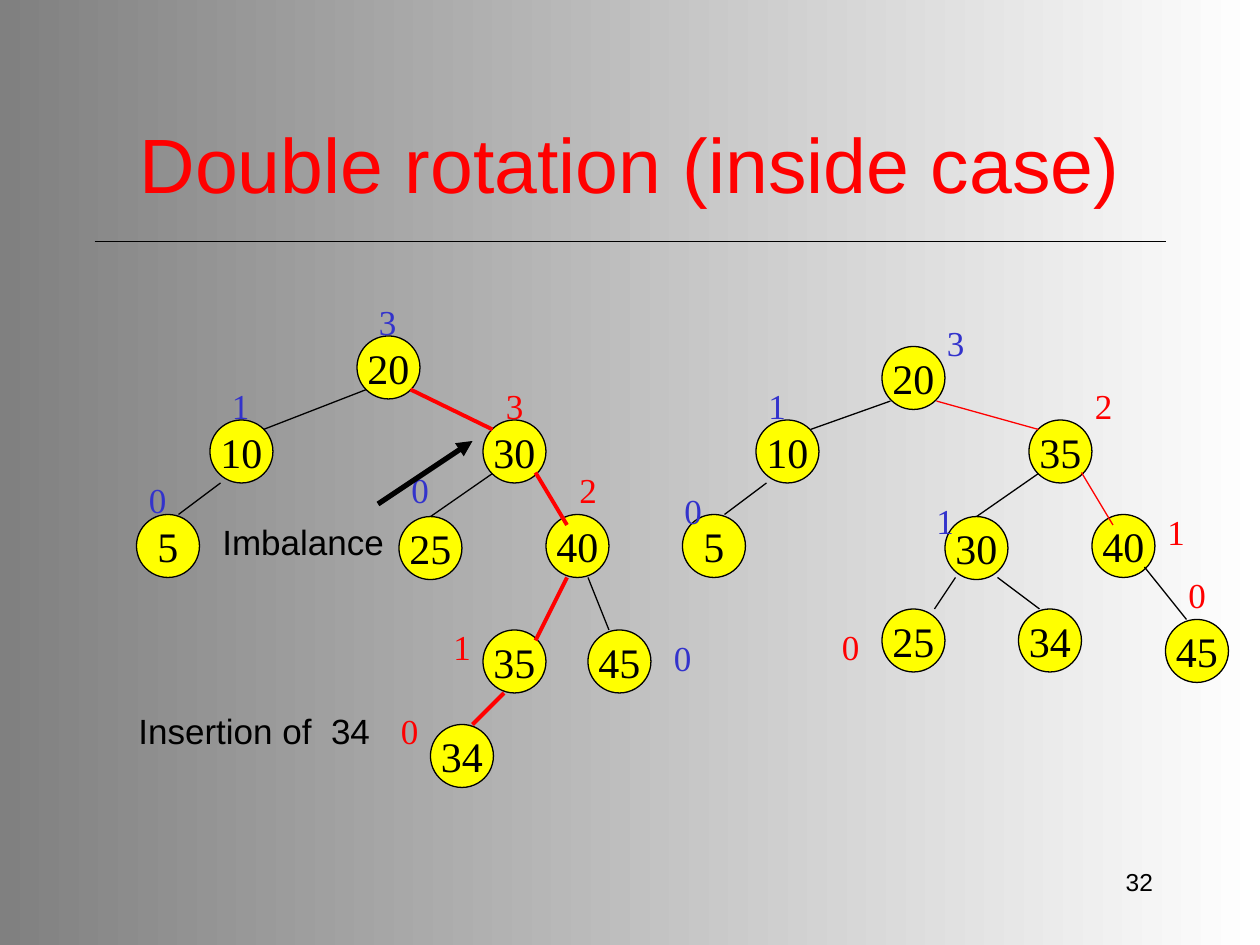
from lxml import etree
from pptx import Presentation
from pptx import util as u
from pptx.dml.color import RGBColor
from pptx.enum import shapes, text
from pptx.oxml.ns import qn

PX = u.Inches(1) // 120
NODE = 60
LABEL = (41, 53)
COLORS = {
    "black": "000000",
    "white": "FFFFFF",
    "gray": "808080",
    "red": "FF0000",
    "blue": "3333CC",
    "yellow": "FFFF00",
}
TITLE = {"name": "Arial", "size": u.Pt(44)}
CAPTION = {"name": "Arial", "size": u.Pt(20)}
NUMBER = {"name": "Arial", "size": u.Pt(14)}
KEY = {"name": "Times New Roman", "size": u.Pt(24)}
HEIGHT = {"name": "Times New Roman", "size": u.Pt(20)}

BEFORE = {
    "nodes": {
        "20": (210, 40), "10": (70, 120), "30": (330, 120),
        "5": (0, 210), "25": (250, 212), "40": (390, 210),
        "35": (330, 320), "45": (430, 320), "34": (280, 410),
    },
    "edges": [
        ((219, 91), (121, 129), "black"),
        ((261, 91), (339, 129), "red"),
        ((339, 171), "25", "black"),
        ((380, 170), (410, 220), "red"),
        ((80, 180), (40, 210), "black"),
        ((430, 270), (450, 320), "black"),
        ((410, 270), (380, 330), "red"),
        ((350, 380), (320, 410), "red"),
    ],
    "heights": [
        ("3", 219, 0, "blue"), ("1", 79, 80, "blue"), ("3", 340, 80, "red"),
        ("0", 0, 170, "blue"), ("0", 250, 160, "blue"), ("2", 410, 160, "red"),
        ("1", 290, 310, "red"), ("0", 500, 320, "blue"), ("0", 240, 390, "red"),
    ],
}
AFTER = {
    "nodes": {
        "20": (200, 50), "10": (80, 120), "35": (340, 120),
        "5": (10, 210), "30": (260, 212), "40": (400, 210),
        "25": (200, 300), "34": (330, 300), "45": (470, 310),
    },
    "edges": [
        ((208, 102), (132, 129), "black"),
        ((252, 102), (349, 129), "red"),
        ((349, 171), "30", "black"),
        ((390, 170), (420, 220), "red"),
        ((90, 180), (50, 210), "black"),
        ((450, 260), (490, 310), "black"),
        ((270, 270), (250, 300), "black"),
        ((310, 270), (350, 300), "black"),
    ],
    "heights": [
        ("3", 250, 20, "blue"), ("1", 80, 80, "blue"), ("2", 391, 80, "red"),
        ("0", 0, 180, "blue"), ("1", 240, 190, "blue"), ("1", 460, 200, "red"),
        ("0", 480, 260, "red"), ("0", 150, 310, "red"),
    ],
}


def emu(*lengths):
    return [length * PX for length in lengths]


def rgb(name):
    return RGBColor.from_string(COLORS[name])


def write(shape, words, style, color, align, wrap=True, anchor=text.MSO_ANCHOR.TOP):
    frame = shape.text_frame
    frame.auto_size = text.MSO_AUTO_SIZE.NONE
    frame.word_wrap = wrap
    frame.vertical_anchor = anchor
    para = frame.paragraphs[0]
    para.alignment = align
    span = para.add_run()
    span.text = words
    for name, value in style.items():
        setattr(span.font, name, value)
    span.font.color.rgb = rgb(color)


def add_text(page, box, words, style, color="black", align=text.PP_ALIGN.LEFT, wrap=True):
    shape = page.shapes.add_textbox(*emu(*box))
    write(shape, words, style, color, align, wrap)


def add_line(page, start, end, color="black", width=0.75):
    line = page.shapes.add_connector(shapes.MSO_CONNECTOR.STRAIGHT, *emu(*start, *end))
    line.line.color.rgb = rgb(color)
    line.line.width = u.Pt(width)
    etree.SubElement(line.element.spPr, qn("a:effectLst"))
    return line


def add_node(page, left, top, key):
    node = page.shapes.add_shape(shapes.MSO_SHAPE.OVAL, *emu(left, top, NODE, NODE))
    node.shadow.inherit = False
    node.fill.solid()
    node.fill.fore_color.rgb = rgb("yellow")
    node.line.color.rgb = rgb("black")
    node.line.width = u.Pt(0.75)
    write(node, key, KEY, "black", text.PP_ALIGN.CENTER, False, text.MSO_ANCHOR.MIDDLE)
    return node


def add_tree(page, left, top, tree, red_width):
    nodes = {
        key: add_node(page, left + x, top + y, key)
        for key, (x, y) in tree["nodes"].items()
    }
    for start, end, color in tree["edges"]:
        begin = (left + start[0], top + start[1])
        width = red_width if color == "red" else 0.75
        if end in nodes:
            edge = add_line(page, begin, begin, color, width)
            edge.end_connect(nodes[end], 0)
        else:
            add_line(page, begin, (left + end[0], top + end[1]), color, width)
    for height, x, y, color in tree["heights"]:
        add_text(page, (left + x, top + y, *LABEL), height, HEIGHT, color, wrap=False)


def add_heading(page, left, top, width, height):
    title = page.shapes.title
    title.left, title.top, title.width, title.height = emu(left, top, width, height)
    write(title, "Double rotation (inside case)", TITLE, "red",
          text.PP_ALIGN.CENTER, anchor=text.MSO_ANCHOR.MIDDLE)
    add_line(page, (left, top + height), (left + width, top + height))


def add_notes_on_tree(page, left, top):
    add_text(page, (left + 80, top, 180, 53), "Imbalance", CAPTION)
    add_text(page, (left, top + 180, 250, 53), "Insertion of  34", CAPTION)
    arrow = add_line(page, (left + 240, top - 10), (left + 330, top - 70), width=3)
    etree.SubElement(arrow.line._get_or_add_ln(), qn("a:tailEnd"), type="triangle")


def add_background(page):
    fill = page.background.fill
    fill.gradient()
    fill.gradient_angle = 180
    for stop, color in zip(fill.gradient_stops, ("white", "gray")):
        stop.color.rgb = rgb(color)


def main():
    deck = Presentation()
    deck.slide_width, deck.slide_height = emu(1200, 900)
    page = deck.slides.add_slide(deck.slide_layouts[5])
    add_background(page)
    add_heading(page, 90, 80, 1020, 150)
    add_tree(page, 130, 280, BEFORE, 2.25)
    add_tree(page, 640, 280, AFTER, 0.75)
    add_notes_on_tree(page, 120, 490)
    add_text(page, (860, 820, 250, 60), "32", NUMBER, align=text.PP_ALIGN.RIGHT)
    deck.save("out.pptx")


if __name__ == "__main__":
    main()
